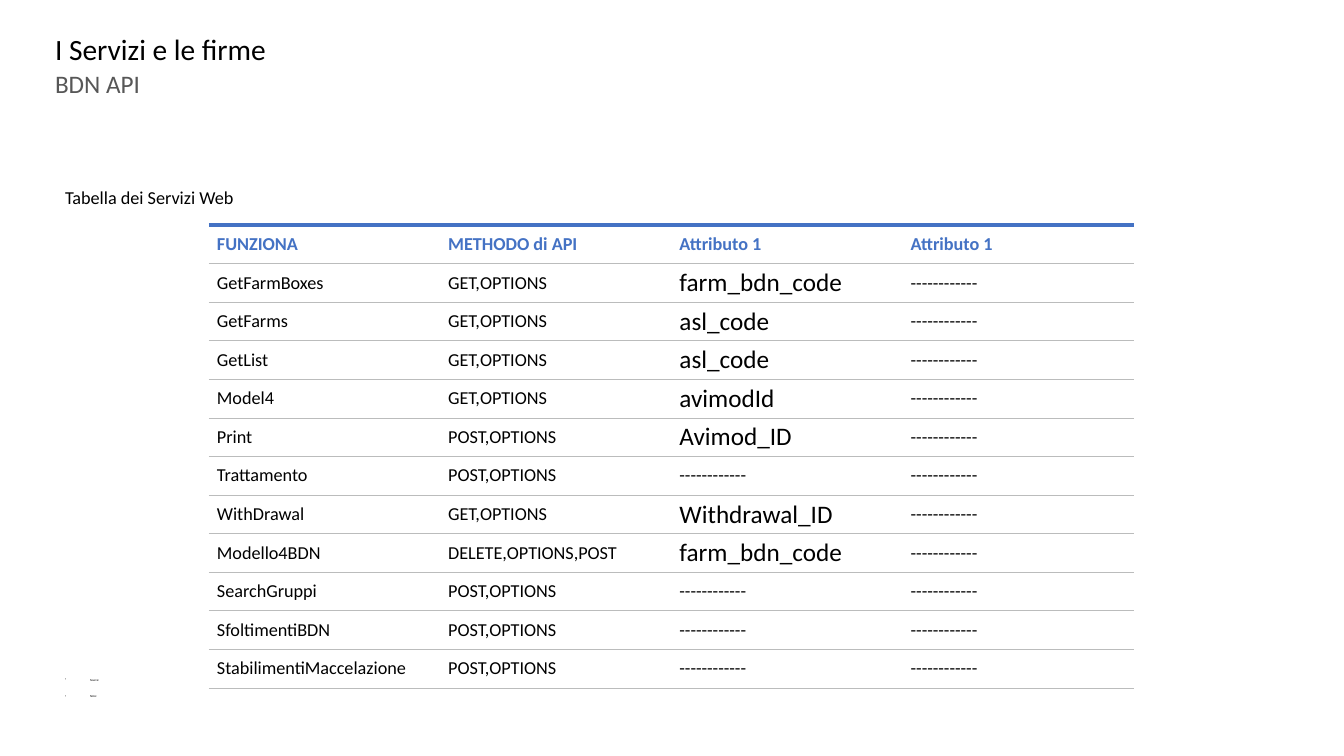
from pptx import Presentation
from pptx.dml.color import RGBColor
from pptx.enum.text import MSO_ANCHOR
from pptx.oxml import parse_xml
from pptx.oxml.ns import nsdecls
from pptx.util import Pt

PX = 914400 / 100.8
FONT = "Calibri"
BLACK, GREY, BLUE, RULE = "000000", "575757", "4472C4", "BBBCBC"
DASHES = "-" * 12

TITLE = "I Servizi e le firme"
SUBTITLE = "BDN API"
CAPTION = "Tabella dei Servizi Web"
FOOTNOTES = ["Source:", "Note:"]
HEADERS = ["FUNZIONA", "METHODO di API", "Attributo 1", "Attributo 1"]
SERVICES = [
    ("GetFarmBoxes", "GET,OPTIONS", "farm_bdn_code"),
    ("GetFarms", "GET,OPTIONS", "asl_code"),
    ("GetList", "GET,OPTIONS", "asl_code"),
    ("Model4", "GET,OPTIONS", "avimodId"),
    ("Print", "POST,OPTIONS", "Avimod_ID"),
    ("Trattamento", "POST,OPTIONS", DASHES),
    ("WithDrawal", "GET,OPTIONS", "Withdrawal_ID"),
    ("Modello4BDN", "DELETE,OPTIONS,POST", "farm_bdn_code"),
    ("SearchGruppi", "POST,OPTIONS", DASHES),
    ("SfoltimentiBDN", "POST,OPTIONS", DASHES),
    ("StabilimentiMaccelazione", "POST,OPTIONS", DASHES),
]

LEFT, WIDTH = 55, 1234
TABLE_BOX = (209, 225, 925, 463)


def px(n):
    """Turn pixels into EMU."""
    return round(n * PX)


def style(p, size, color, bold=False):
    """Set the font of a whole paragraph."""
    p.font.name, p.font.size, p.font.bold = FONT, Pt(size), bold
    p.font.color.rgb = RGBColor.from_string(color)


def add_text(top, height, lines, size, color, inset=(0, 0), spacing=0.9):
    """Add a text box with one paragraph per line."""
    tf = slide.shapes.add_textbox(px(LEFT), px(top), px(WIDTH), px(height)).text_frame
    tf.word_wrap = True
    tf.margin_left = tf.margin_right = px(inset[0])
    tf.margin_top = tf.margin_bottom = px(inset[1])
    tf.text = "\n".join(lines)
    for p in tf.paragraphs:
        style(p, size, color)
        p.line_spacing = spacing
    return tf


def add_bullets(tf, indent, gap):
    """Give every paragraph a hanging bullet and space before it."""
    for p in tf.paragraphs:
        p.space_before = Pt(gap)
        pPr = p._p.get_or_add_pPr()
        pPr.set("marL", str(px(indent)))
        pPr.set("indent", str(-px(indent)))
        bullet = parse_xml(f'<a:buChar {nsdecls("a")} char="•"/>')
        pPr.insert_element_before(bullet, "a:tabLst", "a:defRPr", "a:extLst")


def set_borders(cell, top, bottom):
    """Draw the top and bottom edges, each a (colour, points) pair; hide the sides."""
    edges = {"lnL": None, "lnR": None, "lnT": top, "lnB": bottom}
    tcPr = cell._tc.get_or_add_tcPr()
    for i, (tag, edge) in enumerate(edges.items()):
        color, width = edge or (None, 0)
        fill = f'<a:solidFill><a:srgbClr val="{color}"/></a:solidFill>' if edge else "<a:noFill/>"
        tcPr.insert(i, parse_xml(f'<a:{tag} {nsdecls("a")} w="{Pt(width)}">{fill}</a:{tag}>'))


def add_table(rows):
    """Add the services table with a heavy rule on top and thin ones between rows."""
    x, y, w, h = TABLE_BOX
    table = slide.shapes.add_table(len(rows), len(HEADERS), *map(px, TABLE_BOX)).table
    table.horz_banding = False
    for col in table.columns:
        col.width = px(w / len(HEADERS))
    for r, values in enumerate(rows):
        table.rows[r].height = px(h / len(rows))
        for c, value in enumerate(values):
            cell = table.cell(r, c)
            cell.text = value
            cell.vertical_anchor = MSO_ANCHOR.MIDDLE
            cell.margin_left = cell.margin_right = px(8)
            cell.margin_top = cell.margin_bottom = px(4)
            cell.fill.background()
            is_head = r == 0
            is_large = not is_head and c == 2 and value != DASHES
            style(cell.text_frame.paragraphs[0], 18 if is_large else 13,
                  BLUE if is_head else BLACK, is_head)
            set_borders(cell, (BLUE, 3) if is_head else (RULE, 0.5), (RULE, 0.5))


prs = Presentation()
prs.slide_width, prs.slide_height = px(1344), px(756)
slide = prs.slides.add_slide(prs.slide_layouts[6])

add_text(35, 37, [TITLE], 21, BLACK)
add_text(72, 84, [SUBTITLE], 18, GREY)
add_text(184, 39, [CAPTION], 13, BLACK, inset=(10, 5))
add_table([HEADERS] + [(*service, DASHES) for service in SERVICES])
footnotes = add_text(674, 29, FOOTNOTES, 2.2, BLACK, inset=(10, 5), spacing=0.7)
add_bullets(footnotes, indent=25, gap=10)

prs.save("out.pptx")
